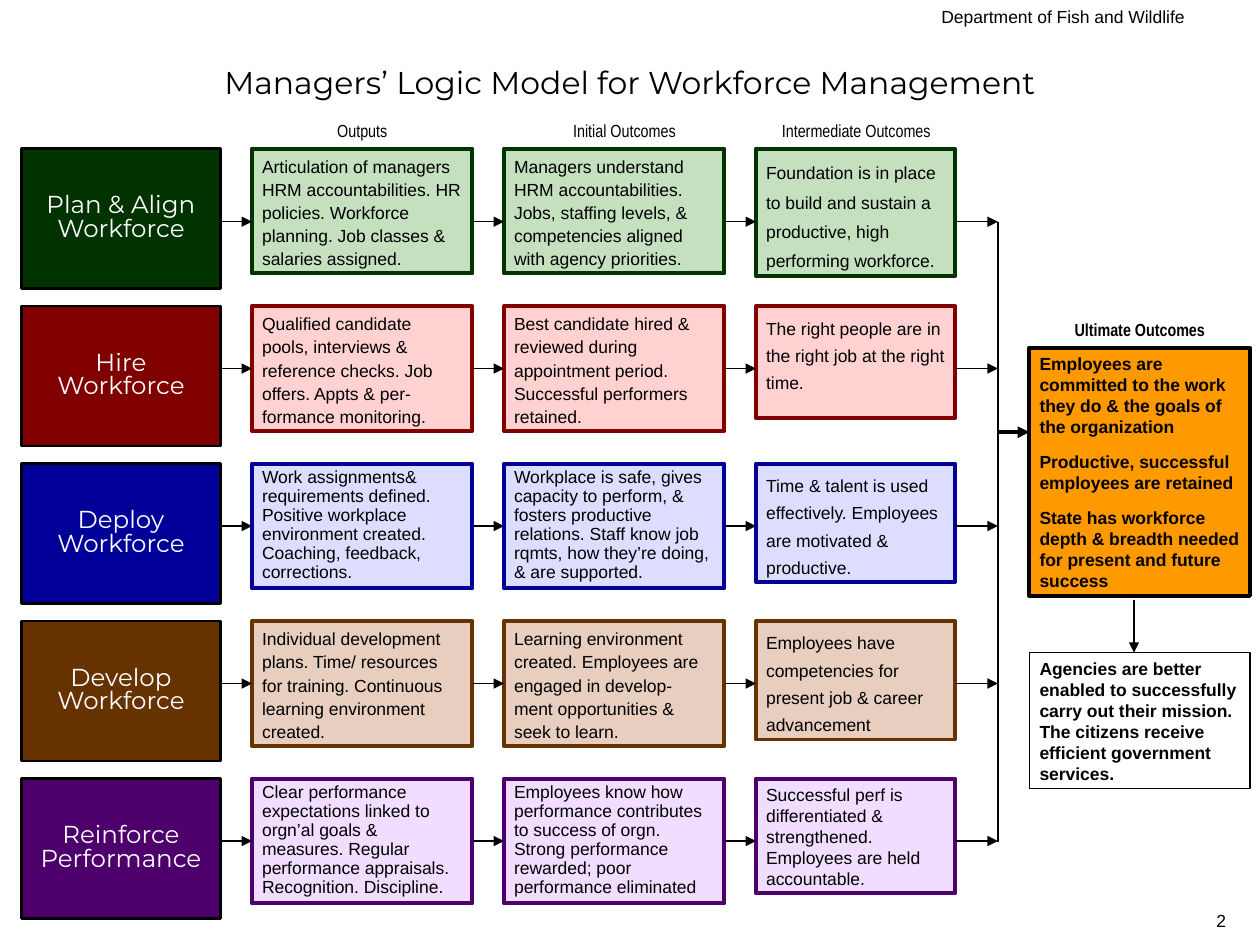
from copy import deepcopy

from pptx import Presentation
from pptx import util as u
from pptx.dml.color import RGBColor
from pptx.enum import shapes, text
from pptx.oxml.ns import qn
from lxml import etree

COLORS = {
    "black": "000000", "white": "FFFFFF", "orange": "FF9900",
    "plan": "003300", "plan_light": "C4E0BE",
    "hire": "800000", "hire_light": "FFD1D1",
    "deploy": "000099", "deploy_light": "DDDDFF",
    "develop": "663300", "develop_light": "E8CEBE",
    "reinforce": "4D006C", "reinforce_light": "F0DDFF",
}
LEFT, CENTER, RIGHT = text.PP_ALIGN.LEFT, text.PP_ALIGN.CENTER, text.PP_ALIGN.RIGHT
TOP, MIDDLE = text.MSO_ANCHOR.TOP, text.MSO_ANCHOR.MIDDLE

# Each cell: wording, line spacing; the intermediate one also has its height
STAGES = [
    ("plan", "Plan & Align Workforce",
     ("Articulation of managers HRM accountabilities. HR policies. Workforce planning. "
      "Job classes & salaries assigned.", 1.1),
     ("Managers understand HRM accountabilities. Jobs, staffing levels, & competencies "
      "aligned with agency priorities.", 1.1),
     ("Foundation is in place to build and sustain a productive, high performing workforce.",
      1.4, 1.01)),
    ("hire", "Hire\nWorkforce",
     ("Qualified candidate pools, interviews & reference checks. Job offers. Appts & per-\n"
      "formance monitoring.", 1.1),
     ("Best candidate hired & reviewed during appointment period. Successful performers "
      "retained.", 1.1),
     ("The right people are in the right job at the right time.", 1.3, 0.89)),
    ("deploy", "Deploy\nWorkforce",
     ("Work assignments& requirements defined. Positive workplace environment created. "
      "Coaching, feedback, corrections.", 0.9),
     ("Workplace is safe, gives capacity to perform, & fosters productive relations. Staff "
      "know job rqmts, how they’re doing, & are supported.", 0.9),
     ("Time & talent is used effectively. Employees are motivated & productive.", 1.3, 0.94)),
    ("develop", "Develop Workforce",
     ("Individual development plans. Time/ resources for training. Continuous learning "
      "environment created.", 1.1),
     ("Learning environment created. Employees are engaged in develop-\nment opportunities "
      "& seek to learn.", 1.1),
     ("Employees have competencies for present job & career advancement", 1.3, 0.94)),
    ("reinforce", "Reinforce Performance",
     ("Clear performance expectations linked to orgn’al goals & measures. Regular "
      "performance appraisals. Recognition. Discipline.", 0.9),
     ("Employees know how performance contributes to success of orgn. Strong performance "
      "rewarded; poor performance eliminated", 0.9),
     ("Successful perf is differentiated & strengthened. Employees are held accountable.",
      1.0, 0.91)),
]
HEADINGS = [("Outputs", 2, 0.9, False), ("Initial Outcomes", 4.08, 0.9, False),
            ("Intermediate Outcomes", 5.92, 0.9, False), ("Ultimate Outcomes", 8.17, 2.48, True)]
ULTIMATE = ["Employees are committed to the work they do & the goals of the organization",
            "Productive, successful employees are retained",
            "State has workforce depth & breadth needed for present and future success"]
MISSION = ["Agencies are better enabled to successfully carry out their mission. "
           "The citizens receive efficient government services."]
FIRST_ROW, ROW_STEP = 1.18, 1.25
STAGE_X, OUTPUT_X, INITIAL_X, INTERMEDIATE_X, ULTIMATE_X = 0.17, 2, 4, 6, 8.17
NARROW, WIDE, CELL_HEIGHT = 1.58, 1.75, 0.99
BUS_X, PLAN_ARROW_Y = 7.92, 1.76


def rgb(name):
    return RGBColor.from_string(COLORS[name])


def write(frame, paragraphs, size=10, font="Arial", color="black", bold=False, align=LEFT,
          anchor=TOP, spacing=1.0, gap=0, inset=(0.1, 0.05)):
    frame.word_wrap = True
    frame.auto_size = text.MSO_AUTO_SIZE.NONE
    frame.vertical_anchor = anchor
    frame.margin_left = frame.margin_right = u.Inches(inset[0])
    frame.margin_top = frame.margin_bottom = u.Inches(inset[1])
    for index, wording in enumerate(paragraphs):
        paragraph = frame.add_paragraph() if index else frame.paragraphs[0]
        paragraph.text = wording
        paragraph.alignment = align
        paragraph.line_spacing = spacing
        paragraph.space_before = u.Pt(gap if index else 0)
        for run in paragraph.runs:
            run.font.size, run.font.name, run.font.bold = u.Pt(size), font, bold
            run.font.color.rgb = rgb(color)
        # A line break needs the run's size too, or it makes its line taller
        for line_break in paragraph._p.findall(qn("a:br")):
            line_break.insert(0, deepcopy(paragraph.runs[0]._r.rPr))


class LogicModel:
    def __init__(self, slide):
        self.slide = slide

    def title(self, wording, *place):
        title = self.slide.shapes.title
        title.left, title.top, title.width, title.height = map(u.Inches, place)
        write(title.text_frame, [wording], size=18, font="Montserrat", align=CENTER,
              anchor=MIDDLE)

    def label(self, wording, *place, **style):
        box = self.slide.shapes.add_textbox(*map(u.Inches, place))
        write(box.text_frame, [wording], **style)

    def box(self, paragraphs, *place, fill, line="black", weight=2.25, **style):
        box = self.slide.shapes.add_shape(shapes.MSO_SHAPE.RECTANGLE, *map(u.Inches, place))
        box.shadow.inherit = False
        box.fill.solid()
        box.fill.fore_color.rgb = rgb(fill)
        box.line.color.rgb = rgb(line)
        box.line.width = u.Pt(weight)
        write(box.text_frame, paragraphs, inset=(0.08, 0.04), **style)
        return box

    def line(self, *ends, weight=0.75, arrow=True, source=None, target=None):
        """Draw a line, joined to the source's right and the target's left side if given."""
        line = self.slide.shapes.add_connector(shapes.MSO_CONNECTOR.STRAIGHT,
                                               *map(u.Inches, ends))
        line.line.color.rgb = rgb("black")
        line.line.width = u.Pt(weight)
        if arrow:
            etree.SubElement(line.line._get_or_add_ln(), qn("a:tailEnd"), type="triangle")
        etree.SubElement(line._element.spPr, qn("a:effectLst"))
        if source is not None:
            line.begin_connect(source, 3)
        if target is not None:
            line.end_connect(target, 1)

    def stage(self, row, name, heading, output, initial, intermediate):
        """Draw one row: the stage, its three result boxes and the arrows between them."""
        top = FIRST_ROW + row * ROW_STEP
        self.box([heading], STAGE_X, top, NARROW, 1.11, fill=name, weight=1.5, size=14,
                 font="Montserrat", color="white", align=CENTER, anchor=MIDDLE, spacing=0.8)
        cells = [(OUTPUT_X, WIDE, *output, CELL_HEIGHT),
                 (INITIAL_X, WIDE, *initial, CELL_HEIGHT),
                 (INTERMEDIATE_X, NARROW, *intermediate)]
        output_box, initial_box, _ = [
            self.box([wording], x, top, width, height, fill=name + "_light", line=name,
                     spacing=spacing)
            for x, width, wording, spacing, height in cells]
        y = top + CELL_HEIGHT / 2
        if row == 0:  # this row's arrows run below the middle of its boxes
            y, output_box, initial_box = PLAN_ARROW_Y, None, None
        self.line(STAGE_X + NARROW, y, OUTPUT_X, y, target=output_box)
        self.line(OUTPUT_X + WIDE, y, INITIAL_X, y, source=output_box, target=initial_box)
        self.line(INITIAL_X + WIDE, y, INTERMEDIATE_X, y, source=initial_box)
        self.line(INTERMEDIATE_X + NARROW, y, BUS_X, y)


def main():
    deck = Presentation()
    deck.slide_width, deck.slide_height = u.Inches(10), u.Inches(7.5)
    model = LogicModel(deck.slides.add_slide(deck.slide_layouts[5]))
    model.title("Managers’ Logic Model for Workforce Management", 0.5, 0.3, 9, 0.7)
    for row, stage in enumerate(STAGES):
        model.stage(row, *stage)
    for wording, x, y, bold in HEADINGS:
        model.label(wording, x, y, WIDE, 0.27, font="Arial Narrow", bold=bold, align=CENTER)

    model.box(ULTIMATE, ULTIMATE_X, 2.76, WIDE, 1.97, fill="orange", bold=True, gap=8.1)
    model.box(MISSION, ULTIMATE_X, 5.18, WIDE, 1.08, fill="white", weight=0.75, bold=True)
    model.line(BUS_X, PLAN_ARROW_Y, BUS_X, 6.68, arrow=False)
    model.line(BUS_X, 3.43, ULTIMATE_X, 3.43, weight=2.25)
    model.line(9, 4.76, 9, 5.18)

    model.label("Department of Fish and Wildlife", 4.5, 0, 5, 0.25, align=RIGHT)
    model.label("2", 7.5, 7.17, 2.33, 0.33, align=RIGHT)
    deck.save("out.pptx")


if __name__ == "__main__":
    main()
